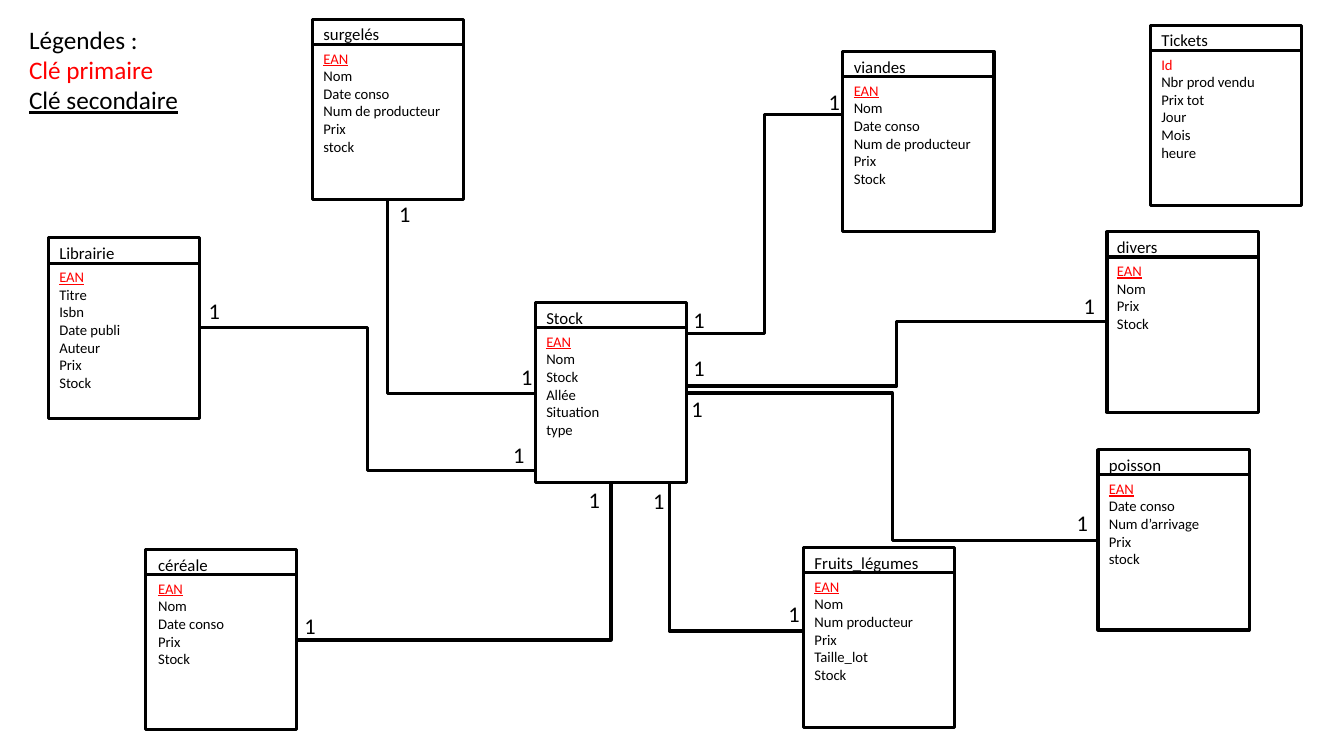
import dataclasses

import lxml.etree
import pptx
import pptx.dml.color
import pptx.enum.shapes
import pptx.enum.text
import pptx.oxml.ns
import pptx.util

Inches = pptx.util.Inches


@dataclasses.dataclass(frozen=True)
class Theme:
    font: str = "Calibri"
    ink: str = "000000"
    key: str = "FF0000"
    legend_size: float = 18
    mark_size: float = 16
    name_size: float = 12
    field_size: float = 10.5
    line_width: float = 2.25


THEME = Theme()

CARD_WIDTH, CARD_HEIGHT, HEADER_HEIGHT = 1.5, 1.79, 0.25

# Table name, left, top, text inset, key, key underlined, other fields
CARDS = [
    ("viandes", 8.36, 0.51, 0.01, "EAN", True,
     ["Nom", "Date conso", "Num de producteur", "Prix", "Stock"]),
    ("surgelés", 3.1, 0.19, 0.01, "EAN", True,
     ["Nom", "Date conso", "Num de producteur", "Prix", "stock"]),
    ("poisson", 10.89, 4.46, 0.01, "EAN", True,
     ["Date conso", "Num d’arrivage", "Prix", "stock"]),
    ("Librairie", 0.48, 2.36, 0.01, "EAN", True,
     ["Titre", "Isbn", "Date publi", "Auteur", "Prix", "Stock"]),
    ("céréale", 1.44, 5.45, 0.03, "EAN", True,
     ["Nom", "Date conso", "Prix", "Stock"]),
    ("divers", 10.98, 2.3, 0, "EAN", True,
     ["Nom", "Prix", "Stock"]),
    ("Fruits_légumes", 7.97, 5.43, 0.01, "EAN", True,
     ["Nom", "Num producteur", "Prix", "Taille_lot", "Stock"]),
    ("Stock", 5.31, 3, 0.01, "EAN", True,
     ["Nom", "Stock", "Allée", "Situation", "type"]),
    ("Tickets", 11.41, 0.25, 0.01, "Id", False,
     ["Nbr prod vendu", "Prix tot", "Jour", "Mois", "heure"]),
]

# Links with one bend run level first, then upright
ONE_BEND_LINKS = [
    (5.31, 3.9, 3.84, 1.98),
    (2.93, 6.35, 6.06, 4.79),
    (7.98, 6.26, 6.64, 4.79),
]
TWO_BEND_LINKS = [
    (5.31, 4.67, 1.98, 3.25),
    (6.81, 3.31, 8.36, 1.14),
    (10.98, 3.19, 6.81, 3.83),
    (10.89, 5.36, 6.81, 3.9),
]

# Left and top of each "1" beside a link end
MARKS = [
    (1.97, 2.9), (4.99, 4.33), (5.07, 3.55), (2.92, 6.02), (5.74, 4.77),
    (6.38, 4.78), (7.72, 5.9), (3.86, 1.94), (8.12, 0.83), (6.78, 2.99),
    (6.78, 3.46), (6.76, 3.87), (10.65, 2.85), (10.58, 5),
]


def color(code):
    return pptx.dml.color.RGBColor.from_string(code)


def write(para, text, *, size, ink=THEME.ink, underline=False):
    span = para.add_run()
    span.text = text
    span.font.name = THEME.font
    span.font.size = pptx.util.Pt(size)
    span.font.color.rgb = color(ink)
    if underline:
        span.font.underline = True


def add_text(shapes, left, top, width, height, lines, size):
    """Each line is its text and a dict of further format."""
    box = shapes.add_textbox(Inches(left), Inches(top), Inches(width), Inches(height))
    frame = box.text_frame
    frame.word_wrap = True
    frame.auto_size = pptx.enum.text.MSO_AUTO_SIZE.SHAPE_TO_FIT_TEXT
    for index, (text, style) in enumerate(lines):
        para = frame.add_paragraph() if index else frame.paragraphs[0]
        write(para, text, size=size, **style)


def format_line(line):
    line.color.rgb = color(THEME.ink)
    line.width = pptx.util.Pt(THEME.line_width)


def add_line(shapes, kind, ends):
    connector = shapes.add_connector(kind, *[Inches(value) for value in ends])
    format_line(connector.line)
    properties = connector.element.spPr
    lxml.etree.SubElement(properties, pptx.oxml.ns.qn("a:effectLst"))
    return connector


def add_link(shapes, ends, one_bend=False):
    connector = add_line(shapes, pptx.enum.shapes.MSO_CONNECTOR.ELBOW, ends)
    if one_bend:
        geometry = connector.element.spPr.find(pptx.oxml.ns.qn("a:prstGeom"))
        geometry.set("prst", "bentConnector2")


def add_card(page, name, left, top, inset, key, underlined, fields):
    shapes = page.shapes.add_group_shape().shapes
    frame = shapes.add_shape(
        pptx.enum.shapes.MSO_SHAPE.RECTANGLE,
        Inches(left), Inches(top), Inches(CARD_WIDTH), Inches(CARD_HEIGHT))
    frame.shadow.inherit = False
    frame.fill.background()
    format_line(frame.line)

    # Header rule, table name and fields
    rule = top + HEADER_HEIGHT
    add_line(shapes, pptx.enum.shapes.MSO_CONNECTOR.STRAIGHT,
             (left + 0.01, rule, left + CARD_WIDTH - 0.01, rule))
    add_text(shapes, left + inset, top, CARD_WIDTH, 0.3, [(name, {})], THEME.name_size)
    lines = [(key, {"ink": THEME.key, "underline": underlined})]
    lines += [(field, {}) for field in fields]
    add_text(shapes, left + inset, rule, CARD_WIDTH, 0.1 + 0.177 * len(lines),
             lines, THEME.field_size)


def main():
    deck = pptx.Presentation()
    deck.slide_width, deck.slide_height = Inches(13.33), Inches(7.5)
    page = deck.slides.add_slide(deck.slide_layouts.get_by_name("Blank"))

    # Tables of the data model
    for card in CARDS:
        add_card(page, *card)

    # Links and their cardinalities
    for ends in ONE_BEND_LINKS:
        add_link(page.shapes, ends, one_bend=True)
    for ends in TWO_BEND_LINKS:
        add_link(page.shapes, ends)
    for left, top in MARKS:
        add_text(page.shapes, left, top, 0.47, 0.37, [("1", {})], THEME.mark_size)

    # Legend
    add_text(page.shapes, 0.19, 0.19, 2.63, 1.01, [
        ("Légendes :", {}),
        ("Clé primaire", {"ink": THEME.key}),
        ("Clé secondaire", {"underline": True}),
    ], THEME.legend_size)

    deck.save("out.pptx")


if __name__ == "__main__":
    main()
